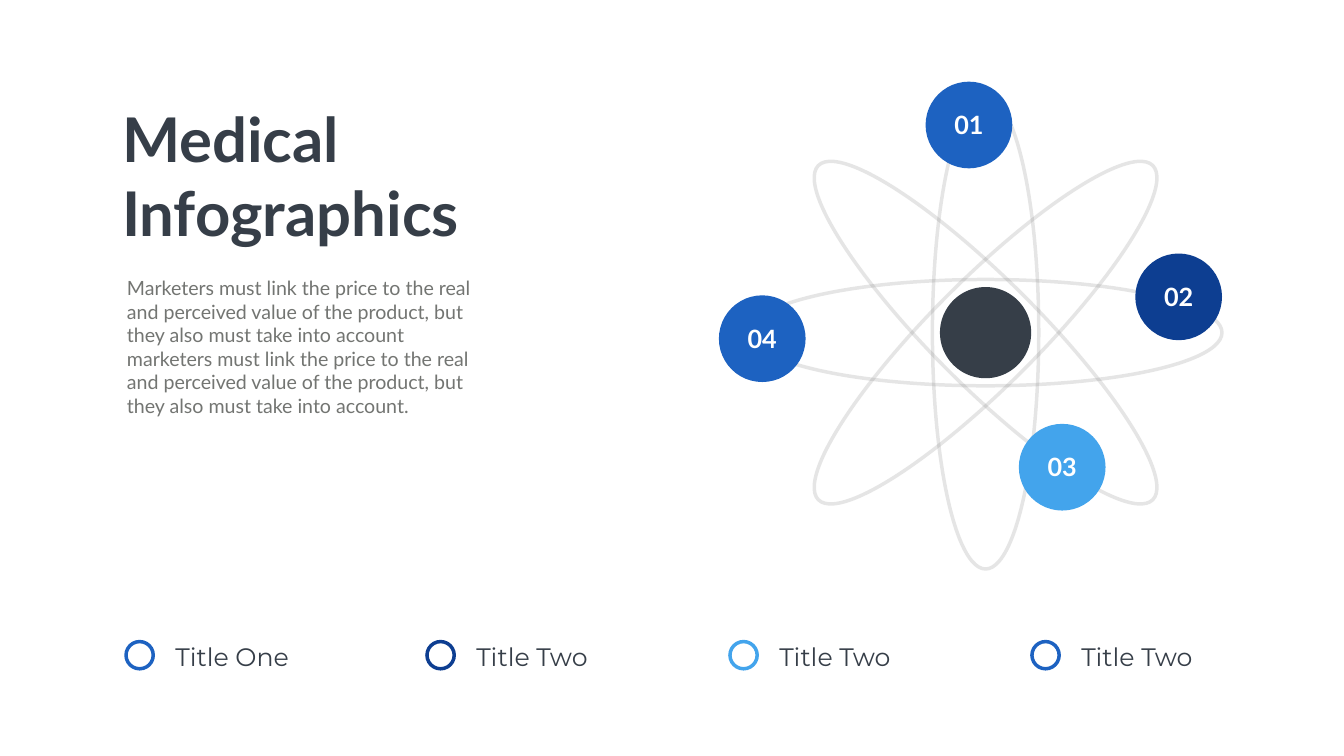
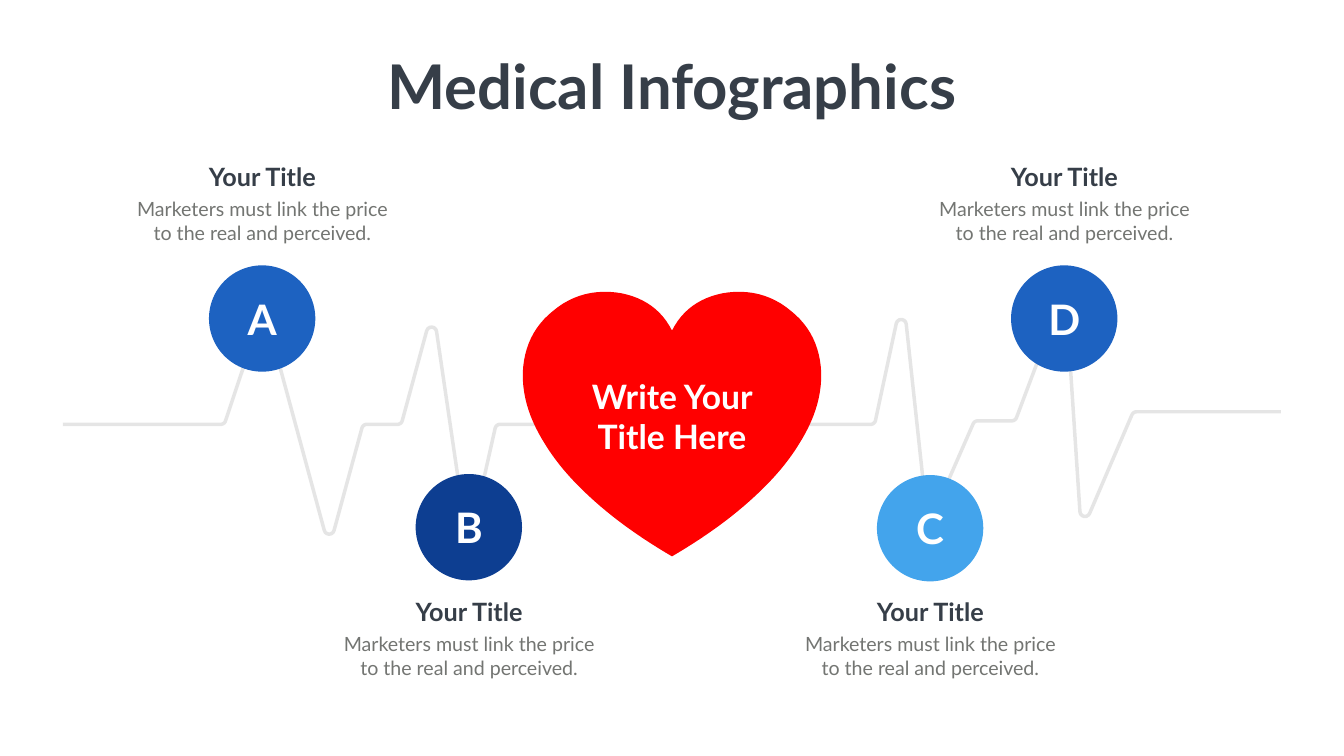
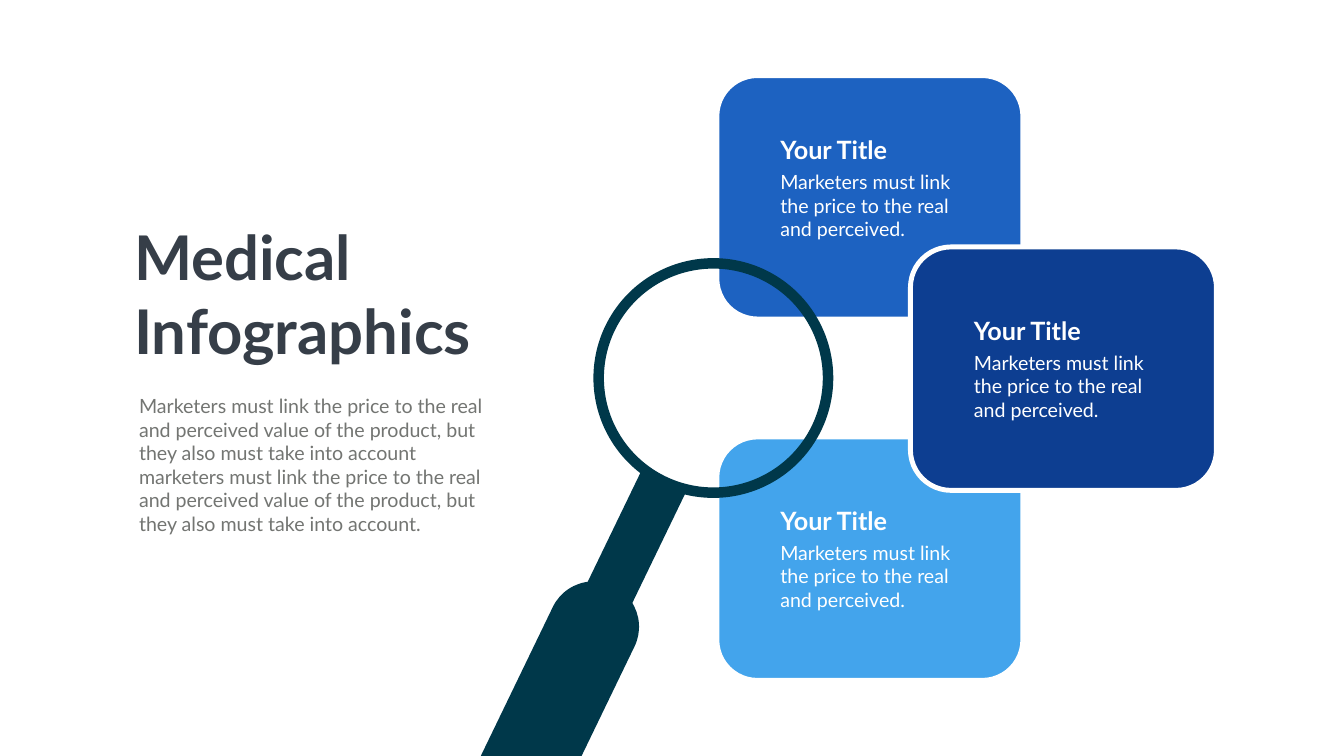
from math import atan2, cos, dist, hypot, pi, sin, tan
from typing import NamedTuple

from pptx import Presentation
from pptx.dml.color import RGBColor
from pptx.enum.shapes import MSO_SHAPE
from pptx.enum.text import MSO_ANCHOR, MSO_AUTO_SIZE, PP_ALIGN
from pptx.oxml.ns import qn
from pptx.presentation import Presentation as Deck
from pptx.shapes.autoshape import Shape
from pptx.slide import Slide
from pptx.util import Inches, Pt
from lxml.etree import SubElement

COLORS = {
    "white": "FFFFFF",
    "ink": "363E48",
    "body": "737572",
    "blue": "1D62C1",
    "navy": "0D3E91",
    "sky": "43A4EC",
    "heart": "FF0000",
    "gray": "808080",
    "lens": "00384A",
}
TITLE = "Medical Infographics"
SHORT_TEXT = "Marketers must link the price to the real and perceived."
LONG_TEXT = (
    "Marketers must link the price to the real and perceived value of the product, "
    "but they also must take into account marketers must link the price to the real "
    "and perceived value of the product, but they also must take into account."
)
Point = tuple[float, float]


class Box(NamedTuple):
    left: float
    top: float
    width: float
    height: float


class Style(NamedTuple):
    size: float
    color: str
    bold: bool = False
    align: PP_ALIGN = PP_ALIGN.LEFT
    font: str = "Lato"


class Node(NamedTuple):
    label: str
    x: float
    y: float
    color: str
    caption_top: float = 0


class Legend(NamedTuple):
    label: str
    left: float
    color: str


class Card(NamedTuple):
    left: float
    top: float
    color: str
    caption_top: float


def color(name: str) -> RGBColor:
    return RGBColor.from_string(COLORS[name])


def centered(x: float, y: float, width: float, height: float) -> Box:
    return Box(x - width / 2, y - height / 2, width, height)


def write(shape: Shape, text: str, style: Style) -> None:
    frame = shape.text_frame
    frame.text = text
    frame.word_wrap = True
    frame.auto_size = MSO_AUTO_SIZE.SHAPE_TO_FIT_TEXT
    frame.vertical_anchor = MSO_ANCHOR.TOP
    para = frame.paragraphs[0]
    para.alignment = style.align
    font = para.runs[0].font
    font.name, font.size, font.bold = style.font, Pt(style.size), style.bold
    font.color.rgb = color(style.color)


def add_text(page: Slide, box: Box, text: str, style: Style) -> None:
    write(page.shapes.add_textbox(*map(Inches, box)), text, style)


def paint(shape: Shape, fill: str = "", line: str = "", width: float = 0,
          opacity: int = 100) -> None:
    shape.shadow.inherit = False
    if fill:
        shape.fill.solid()
        shape.fill.fore_color.rgb = color(fill)
    else:
        shape.fill.background()
    if not line:
        shape.line.fill.background()
        return
    shape.line.width = Pt(width)
    shape.line.color.rgb = color(line)
    if opacity < 100:
        tint = shape.line._ln.find(".//" + qn("a:srgbClr"))
        SubElement(tint, qn("a:alpha")).set("val", str(opacity * 1000))


def add_shape(page: Slide, kind: MSO_SHAPE, box: Box, rotation: float = 0) -> Shape:
    shape = page.shapes.add_shape(kind, *map(Inches, box))
    shape.rotation = rotation
    return shape


def add_outline(page: Slide, points: list[Point], close: bool) -> Shape:
    corners = [(Inches(x), Inches(y)) for x, y in points]
    builder = page.shapes.build_freeform(*corners[0])
    builder.add_line_segments(corners[1:], close=close)
    return builder.convert_to_shape()


def round_corners(points: list[Point], radius: float, steps: int = 6) -> list[Point]:
    result = [points[0]]
    for before, corner, after in zip(points, points[1:], points[2:]):
        (ax, ay), (bx, by) = [
            ((end[0] - corner[0]) / dist(end, corner), (end[1] - corner[1]) / dist(end, corner))
            for end in (before, after)
        ]
        half = abs(atan2(ax * by - ay * bx, ax * bx + ay * by)) / 2
        cut, reach = radius / tan(half), radius / sin(half) / hypot(ax + bx, ay + by)
        center_x, center_y = corner[0] + (ax + bx) * reach, corner[1] + (ay + by) * reach
        start, stop = [
            atan2(corner[1] + dy * cut - center_y, corner[0] + dx * cut - center_x)
            for dx, dy in ((ax, ay), (bx, by))
        ]
        sweep = (stop - start + pi) % (2 * pi) - pi
        angles = [start + sweep * step / steps for step in range(steps + 1)]
        result += [(center_x + radius * cos(a), center_y + radius * sin(a)) for a in angles]
    return result + [points[-1]]


def trace_curves(start: Point, curves: list[tuple[Point, Point, Point]],
                 steps: int = 12) -> list[Point]:
    points = [start]
    for first, second, end in curves:
        origin = points[-1]
        for step in range(1, steps + 1):
            t = step / steps
            weights = ((1 - t) ** 3, 3 * t * (1 - t) ** 2, 3 * t * t * (1 - t), t ** 3)
            anchors = (origin, first, second, end)
            points.append((
                sum(w * x for w, (x, _) in zip(weights, anchors)),
                sum(w * y for w, (_, y) in zip(weights, anchors)),
            ))
    return points


def add_page(deck: Deck, title_box: Box, align: PP_ALIGN) -> Slide:
    page = deck.slides.add_slide(deck.slide_layouts[5])
    title = page.shapes.title
    title.left, title.top, title.width, title.height = map(Inches, title_box)
    write(title, TITLE, Style(88, "ink", True, align))
    return page


def add_intro_page(deck: Deck, left: float, top: float) -> Slide:
    page = add_page(deck, Box(left, top, 7.8, 3.06), PP_ALIGN.LEFT)
    add_text(page, Box(left + 0.1, top + 3.47, 7.33, 2.93), LONG_TEXT, Style(28, "body"))
    return page


def add_caption(page: Slide, left: float, top: float, width: float, text_height: float,
                heading: Style, body: Style) -> None:
    add_text(page, Box(left, top + 0.71, width, text_height), SHORT_TEXT, body)
    add_text(page, Box(left, top, width, 0.71), "Your Title", heading)


def add_node(page: Slide, node: Node, diameter: float, label: Box, size: float) -> None:
    disc = add_shape(page, MSO_SHAPE.OVAL, centered(node.x, node.y, diameter, diameter))
    paint(disc, node.color)
    add_text(page, label, node.label, Style(size, "white", True, PP_ALIGN.CENTER))


def build_atom_page(deck: Deck) -> None:
    page = add_intro_page(deck, 2.32, 1.96)
    center = (19.55, 6.6)
    for rotation in (90, 0, 45, 135):
        orbit = add_shape(page, MSO_SHAPE.OVAL, centered(*center, 9.38, 2.11), rotation)
        paint(orbit, line="gray", width=5, opacity=20)
    nucleus = add_shape(page, MSO_SHAPE.OVAL, centered(*center, 1.81, 1.81))
    paint(nucleus, "ink")

    electrons = [
        Node("01", 19.22, 2.48, "blue"),
        Node("02", 23.38, 5.89, "navy"),
        Node("03", 21.07, 9.27, "sky"),
        Node("04", 15.12, 6.72, "blue"),
    ]
    for node in electrons:
        add_node(page, node, 1.72, centered(node.x, node.y, 1.4, 0.71), 36)

    legends = [
        Legend("Title One", 2.5, "blue"),
        Legend("Title Two", 8.47, "navy"),
        Legend("Title Two", 14.48, "sky"),
        Legend("Title Two", 20.47, "blue"),
    ]
    for legend in legends:
        add_text(page, Box(legend.left + 0.88, 12.68, 3.13, 0.71), legend.label,
                 Style(36, "ink", font="Montserrat"))
        ring = add_shape(page, MSO_SHAPE.OVAL, Box(legend.left, 12.73, 0.54, 0.54))
        paint(ring, "white", legend.color, 5)


def build_heart_page(deck: Deck) -> None:
    page = add_page(deck, Box(7.45, 0.91, 11.75, 1.58), PP_ALIGN.CENTER)
    pulse = [
        (1.25, 8.42), (4.45, 8.42), (5.23, 6.09), (6.53, 10.88), (7.2, 8.42), (7.96, 8.42),
        (8.59, 6.1), (9.29, 10.87), (9.84, 8.42), (17.35, 8.42), (17.91, 5.81),
        (18.41, 10.45), (19.33, 8.35), (20.14, 8.35), (21.13, 5.72), (21.45, 10.57),
        (22.48, 8.17), (25.41, 8.17),
    ]
    paint(add_outline(page, round_corners(pulse, 0.1), False), line="gray", width=5, opacity=20)

    right_half = trace_curves((13.33, 6.56), [
        ((13.54, 6.14), (13.89, 5.91), (14.33, 5.82)),
        ((14.83, 5.73), (15.3, 5.84), (15.69, 6.17)),
        ((16.08, 6.48), (16.27, 6.9), (16.29, 7.4)),
        ((16.3, 7.92), (16.12, 8.38), (15.85, 8.81)),
        ((15.58, 9.25), (15.24, 9.61), (14.86, 9.95)),
        ((14.4, 10.36), (13.89, 10.71), (13.33, 11.04)),
    ])
    left_half = [(26.66 - x, y) for x, y in reversed(right_half[1:-1])]
    paint(add_outline(page, right_half + left_half, True), "heart")

    nodes = [
        Node("A", 5.2, 6.32, "blue", 3.15),
        Node("B", 9.3, 10.46, "navy", 11.78),
        Node("C", 18.45, 10.48, "sky", 11.78),
        Node("D", 21.11, 6.32, "blue", 3.15),
    ]
    for node in nodes:
        add_node(page, node, 2.11, centered(node.x, node.y, 1.21, 1.11), 60)
        add_caption(page, node.x - 2.63, node.caption_top, 5.27, 1.04,
                    Style(36, "ink", True, PP_ALIGN.CENTER),
                    Style(28, "body", align=PP_ALIGN.CENTER))
    add_text(page, Box(11.3, 7.41, 4.06, 1.72), "Write Your Title Here",
             Style(48, "white", True, PP_ALIGN.CENTER))


def build_lens_page(deck: Deck) -> None:
    page = add_intro_page(deck, 2.56, 4.3)
    cards = [
        Card(14.22, 1.5, "blue", 2.62),
        Card(14.22, 8.67, "sky", 9.97),
        Card(18.06, 4.9, "navy", 6.2),
    ]
    for card in cards:
        panel = add_shape(page, MSO_SHAPE.ROUNDED_RECTANGLE, Box(card.left, card.top, 6.07, 4.83))
        paint(panel, card.color, "white", 7)

    lens = add_shape(page, MSO_SHAPE.OVAL, centered(14.15, 7.5, 4.55, 4.55))
    paint(lens, line="lens", width=15)
    stem = add_shape(page, MSO_SHAPE.RECTANGLE, centered(12.61, 10.7, 0.98, 2.58), 25.8)
    paint(stem, "lens")
    grip = add_shape(page, MSO_SHAPE.ROUNDED_RECTANGLE, centered(10.44, 15.2, 1.8, 7.94), 25.8)
    grip.adjustments[0] = 0.5
    paint(grip, "lens")

    for card in cards:
        add_caption(page, card.left + 1.16, card.caption_top, 3.75, 1.51,
                    Style(36, "white", True), Style(28, "white"))


def main() -> None:
    deck = Presentation()
    deck.slide_width, deck.slide_height = Inches(26.66), Inches(15)
    build_atom_page(deck)
    build_heart_page(deck)
    build_lens_page(deck)
    deck.save("out.pptx")


if __name__ == "__main__":
    main()
